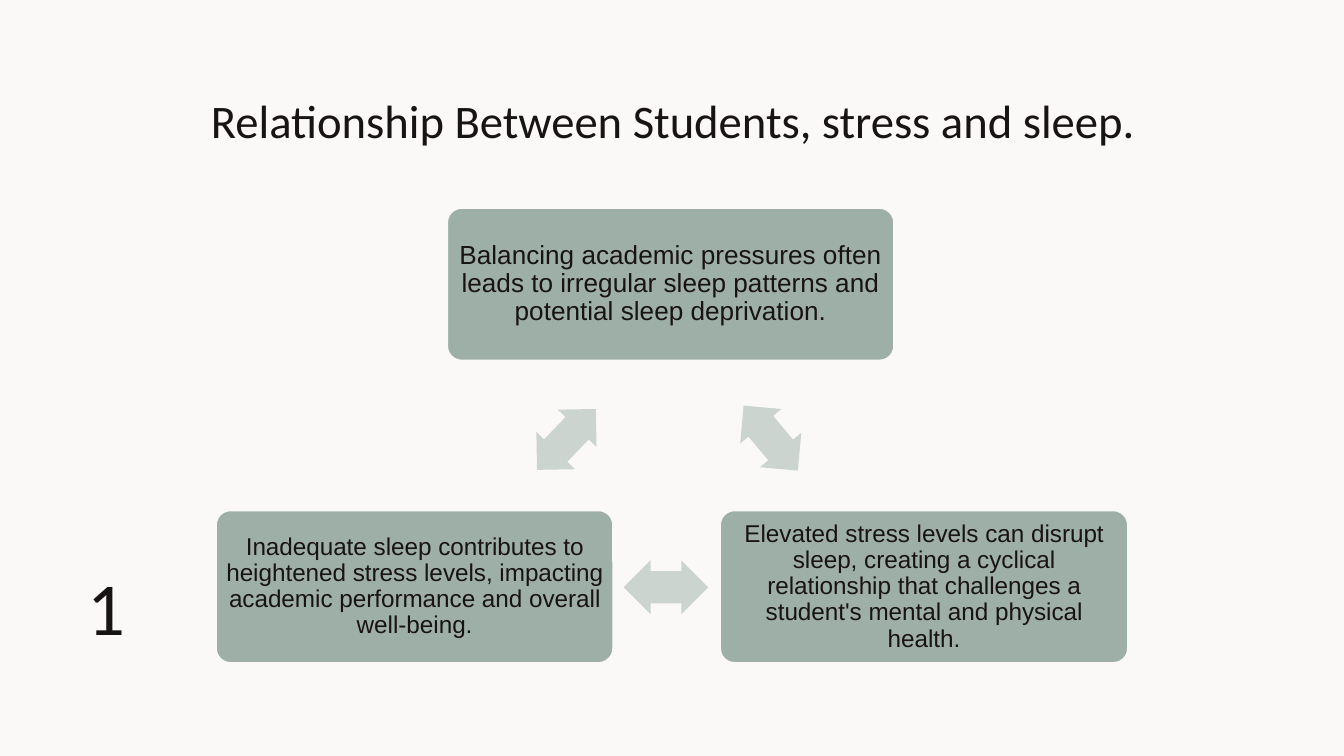
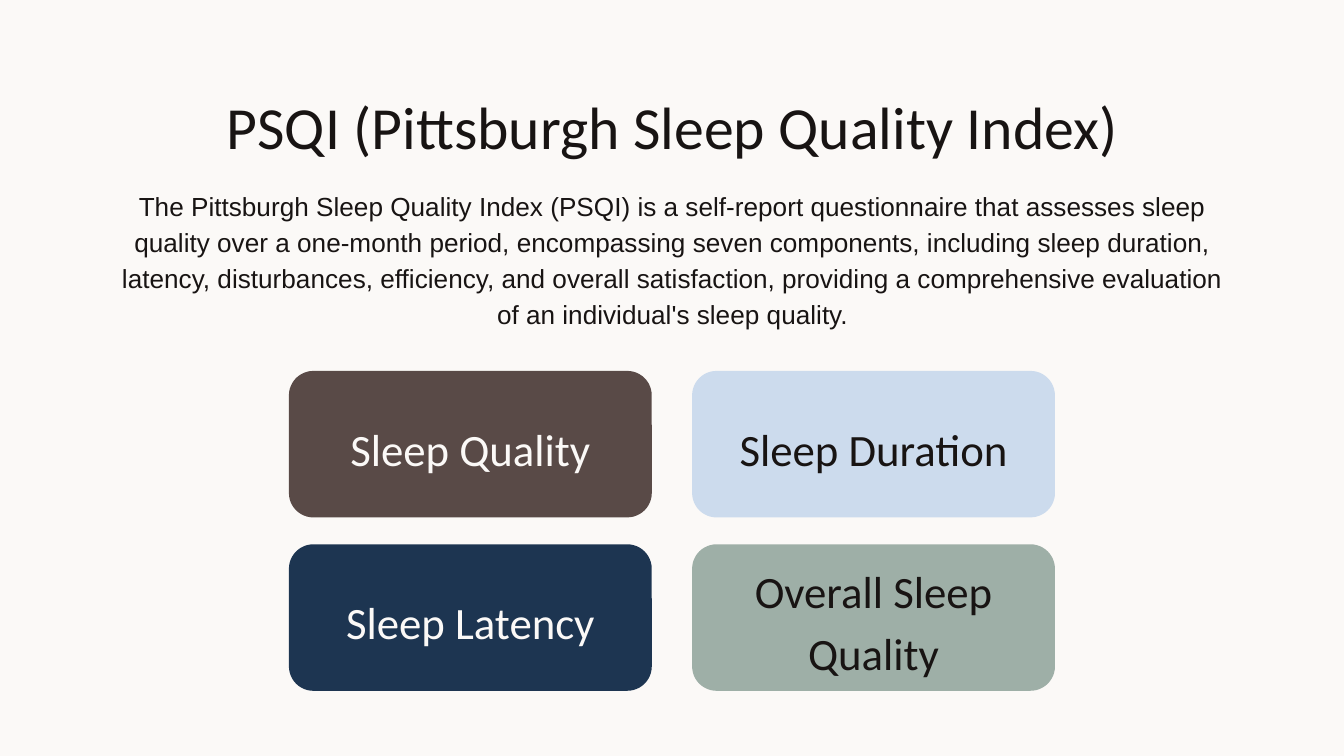
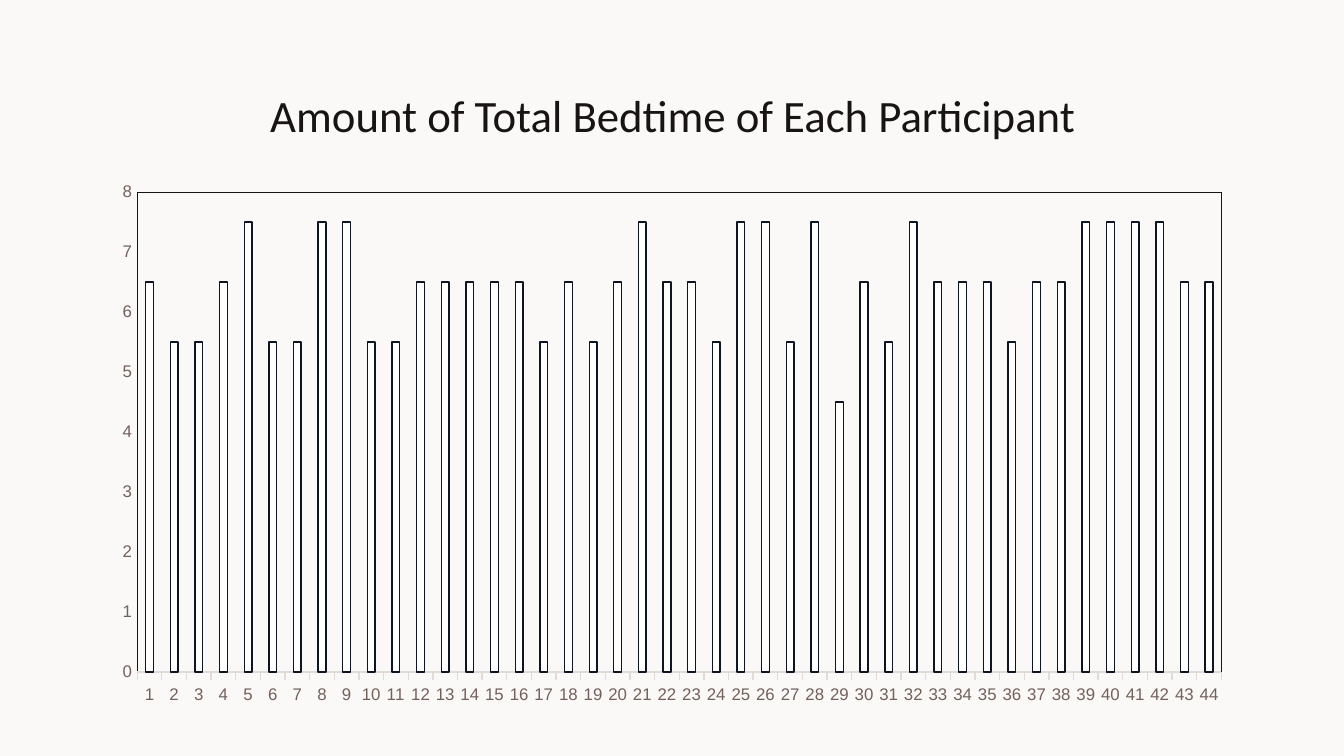
from lxml import etree
from pptx import Presentation
from pptx.chart import data
from pptx.dml.color import RGBColor
from pptx.enum import chart as ch, shapes, text
from pptx.oxml import ns, parse_xml
from pptx.util import Inches, Pt

COLORS = {
    "paper": "FBF9F7", "ink": "181413", "sage": "9EAFA7", "mist": "CCD4D0",
    "brown": "594A47", "navy": "1D3551", "sky": "CCDBED",
    "axis_text": "73605B", "axis_line": "E0DAD8",
    "bar": "FFFFFF", "bar_line": "0C1521",
}
HEAD, BODY = "Calibri", "Arial"


def rgb(name):
    return RGBColor.from_string(COLORS[name])


def write(tf, words, size, font=HEAD, color="ink", spacing=1.15,
          anchor=text.MSO_ANCHOR.TOP, inset=0.1):
    """Fill a text frame with one centred paragraph."""
    tf.word_wrap = True
    tf.auto_size = text.MSO_AUTO_SIZE.NONE
    tf.vertical_anchor = anchor
    tf.margin_left = tf.margin_right = Inches(inset)
    tf.margin_top = tf.margin_bottom = Inches(inset)
    p = tf.paragraphs[0]
    p.alignment = text.PP_ALIGN.CENTER
    p.line_spacing = spacing
    r = p.add_run()
    r.text = words
    r.font.size = Pt(size)
    r.font.name = font
    r.font.color.rgb = rgb(color)


class Deck:
    def __init__(self):
        self.prs = Presentation()
        self.prs.slide_width = Inches(10)
        self.prs.slide_height = Inches(10 * 9 / 16)
        fill = self.prs.slide_master.background.fill
        fill.solid()
        fill.fore_color.rgb = rgb("paper")
        self.s = None

    def slide(self, title, size, top=0.49):
        self.s = self.prs.slides.add_slide(self.prs.slide_layouts[5])
        sp = self.s.shapes.title
        sp.left, sp.top = Inches(0.79), Inches(top)
        sp.width, sp.height = Inches(8.43), Inches(0.79)
        write(sp.text_frame, title, size)

    def label(self, box, words, size, **fmt):
        sp = self.s.shapes.add_textbox(*map(Inches, box))
        write(sp.text_frame, words, size, **fmt)

    def shape(self, kind, box, fill, adjust, rotation=0):
        sp = self.s.shapes.add_shape(kind, *map(Inches, box))
        sp.shadow.inherit = False
        sp.fill.solid()
        sp.fill.fore_color.rgb = rgb(fill)
        sp.line.fill.background()
        sp.rotation = rotation
        for i, value in enumerate(adjust):
            sp.adjustments[i] = value
        return sp

    def card(self, box, words, size, fill="sage", radius=0.167, outline=0, **fmt):
        sp = self.shape(shapes.MSO_SHAPE.ROUNDED_RECTANGLE, box, fill, [radius])
        if outline:
            sp.line.color.rgb = rgb("paper")
            sp.line.width = Pt(outline)
        write(sp.text_frame, words, size, anchor=text.MSO_ANCHOR.MIDDLE, **fmt)

    def double_arrow(self, left, top, rotation):
        self.shape(shapes.MSO_SHAPE.LEFT_RIGHT_ARROW, (left, top, 0.63, 0.4),
                   "mist", [0.6, 0.5], rotation)

    def column_chart(self, box, values):
        cd = data.CategoryChartData()
        cd.categories = [str(n) for n in range(1, len(values) + 1)]
        cd.add_series("Series 1", values)
        chart = self.s.shapes.add_chart(
            ch.XL_CHART_TYPE.COLUMN_CLUSTERED, *map(Inches, box), cd).chart
        chart.has_legend = chart.has_title = False
        chart.font.name, chart.font.size = BODY, Pt(10)
        chart.font.color.rgb = rgb("ink")

        plot = chart.plots[0]
        plot.gap_width, plot.overlap, plot.vary_by_categories = 219, -27, False
        bars = plot.series[0].format
        bars.fill.solid()
        bars.fill.fore_color.rgb = rgb("bar")
        bars.line.color.rgb = rgb("bar_line")
        bars.line.width = Pt(0.75)

        cat, val = chart.category_axis, chart.value_axis
        for axis in (cat, val):
            axis.has_major_gridlines = False
            axis.minor_tick_mark = ch.XL_TICK_MARK.NONE
            font = axis.tick_labels.font
            font.name, font.size = BODY, Pt(9)
            font.color.rgb = rgb("axis_text")
        cat.major_tick_mark = ch.XL_TICK_MARK.OUTSIDE
        cat.format.line.color.rgb = rgb("axis_line")
        cat.format.line.width = Pt(0.75)
        val.major_tick_mark = ch.XL_TICK_MARK.NONE
        val.format.line.fill.background()
        val.minimum_scale, val.maximum_scale, val.major_unit = 0, 8, 1
        self.frame_plot(chart, x=0.033, y=0.037, w=0.948, h=0.882)

    def frame_plot(self, chart, **place):
        """Fix the inner plot area and draw a hairline border around it."""
        area = chart._chartSpace.find(".//" + ns.qn("c:plotArea"))
        for old in area.findall(ns.qn("c:layout")):
            area.remove(old)
        layout = etree.Element(ns.qn("c:layout"))
        manual = etree.SubElement(layout, ns.qn("c:manualLayout"))
        settings = {"layoutTarget": "inner", "xMode": "edge", "yMode": "edge", **place}
        for tag, value in settings.items():
            etree.SubElement(manual, ns.qn("c:" + tag), val=str(value))
        area.insert(0, layout)
        area.append(parse_xml(
            f'<c:spPr {ns.nsdecls("c", "a")}><a:noFill/><a:ln w="0"><a:solidFill>'
            f'<a:srgbClr val="{COLORS["ink"]}"/></a:solidFill></a:ln></c:spPr>'))


def relationship(deck):
    deck.slide("Relationship Between Students, stress and sleep.", 25, top=0.52)
    deck.label((0.25, 4.07, 1.08, 0.88), "1", 40, spacing=1.0)
    cycle = [
        (3.32, 1.54, 3.34, 14, "Balancing academic pressures often leads to irregular "
         "sleep patterns and potential sleep deprivation."),
        (5.35, 3.79, 3.05, 13, "Elevated stress levels can disrupt sleep, creating a "
         "cyclical relationship that challenges a student's mental and physical health."),
        (1.6, 3.79, 2.97, 13, "Inadequate sleep contributes to heightened stress levels, "
         "impacting academic performance and overall well-being."),
    ]
    for left, top, width, size, words in cycle:
        deck.card((left, top, width, 1.15), words, size, radius=0.1, outline=2,
                  font=BODY, spacing=0.9, inset=0.05)
    for arrow in [(5.42, 3.06, 50.1), (4.64, 4.17, 180), (3.9, 3.07, 314)]:
        deck.double_arrow(*arrow)


def sleep_index(deck):
    deck.slide("PSQI (Pittsburgh Sleep Quality Index)", 32)
    components = [
        (" Sleep Quality ", "brown", "paper"), ("Sleep Duration", "sky", "ink"),
        ("Sleep Latency", "navy", "paper"), ("Overall Sleep Quality", "sage", "ink"),
    ]
    for i, (words, fill, color) in enumerate(components):
        row, col = divmod(i, 2)
        deck.card((2.15 + 3 * col, 2.76 + 1.29 * row, 2.7, 1.09), words, 24,
                  fill=fill, color=color)
    deck.label(
        (0.79, 1.28, 8.43, 0.71),
        "The Pittsburgh Sleep Quality Index (PSQI) is a self-report questionnaire that "
        "assesses sleep quality over a one-month period, encompassing seven components, "
        "including sleep duration, latency, disturbances, efficiency, and overall "
        "satisfaction, providing a comprehensive evaluation of an individual's sleep "
        "quality.", 14, font=BODY)


def bedtime(deck):
    deck.slide("Amount of Total Bedtime of Each Participant", 24)
    hours = [
        6.5, 5.5, 5.5, 6.5, 7.5, 5.5, 5.5, 7.5, 7.5, 5.5, 5.5,
        6.5, 6.5, 6.5, 6.5, 6.5, 5.5, 6.5, 5.5, 6.5, 7.5, 6.5,
        6.5, 5.5, 7.5, 7.5, 5.5, 7.5, 4.5, 6.5, 5.5, 7.5, 6.5,
        6.5, 6.5, 5.5, 6.5, 6.5, 7.5, 7.5, 7.5, 7.5, 6.5, 6.5,
    ]
    deck.column_chart((0.74, 1.28, 8.51, 4.05), hours)


def main():
    deck = Deck()
    for build in (relationship, sleep_index, bedtime):
        build(deck)
    deck.prs.save("out.pptx")


if __name__ == "__main__":
    main()
